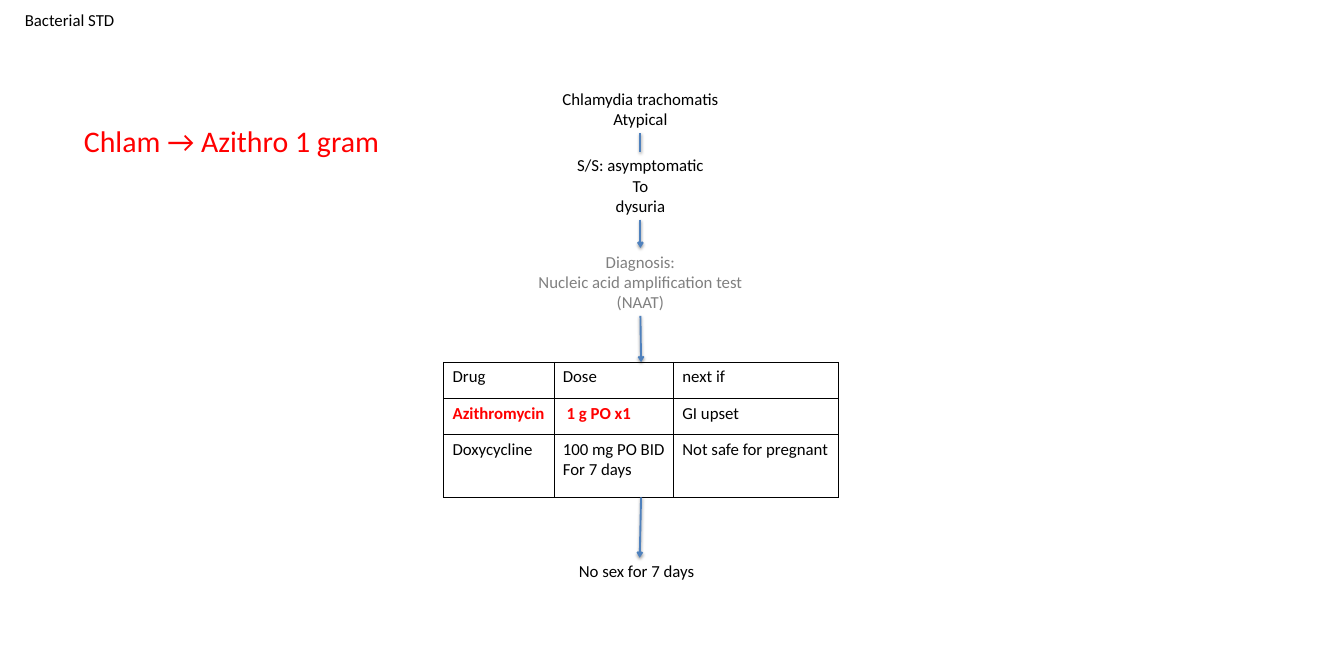
import pptx
import pptx.util
import pptx.dml.color
import pptx.enum.shapes
import pptx.enum.text
import pptx.oxml
import pptx.oxml.ns

Inches = pptx.util.Inches
Pt = pptx.util.Pt
RGBColor = pptx.dml.color.RGBColor
ALIGN = pptx.enum.text.PP_ALIGN

BLACK = RGBColor(0x00, 0x00, 0x00)
GRAY = RGBColor(0x80, 0x80, 0x80)
RED = RGBColor(0xFF, 0x00, 0x00)
BLUE = RGBColor(0x4F, 0x81, 0xBD)

DRUGS = [
    ["Drug", "Dose", "next if"],
    ["Azithromycin", " 1 g PO x1", "GI upset"],
    ["Doxycycline", "100 mg PO BID\nFor 7 days", "Not safe for pregnant"],
]
COLS = [1.64, 1.78, 2.45]
ROWS = [0.54, 0.54, 0.93]
FIRST = {(1, 0), (1, 1)}  # first-choice drug and its dose


def make_xml(body):
    """Parse one DrawingML element."""
    return pptx.oxml.parse_xml(body.replace(">", " " + pptx.oxml.ns.nsdecls("a") + ">", 1))


def write(frame, text, size=18, color=BLACK, bold=False, align=ALIGN.LEFT):
    """Fill a text frame, one paragraph for each line of text."""
    for i, line in enumerate(text.split("\n")):
        para = frame.paragraphs[0] if i == 0 else frame.add_paragraph()
        para.alignment = align
        run = para.add_run()
        run.text = line
        font = run.font
        font.name, font.size, font.bold = "Calibri", Pt(size), bold
        font.color.rgb = color


def add_note(slide, box, text, **style):
    """Add an unwrapped text box at left, top, width, height."""
    frame = slide.shapes.add_textbox(*map(Inches, box)).text_frame
    frame.word_wrap = False
    frame.auto_size = pptx.enum.text.MSO_AUTO_SIZE.SHAPE_TO_FIT_TEXT
    write(frame, text, **style)


def add_link(slide, start, end, arrow=True):
    """Join two points with a shadowed line."""
    link = slide.shapes.add_connector(
        pptx.enum.shapes.MSO_CONNECTOR.STRAIGHT, *map(Inches, start + end))
    link.line.color.rgb = BLUE
    link.line.width = Pt(2)
    props = link._element.spPr
    if arrow:
        props.find(pptx.oxml.ns.qn("a:ln")).append(
            make_xml('<a:tailEnd type="arrow"></a:tailEnd>'))
    props.append(make_xml(
        '<a:effectLst><a:outerShdw blurRad="40000" dist="20000" dir="5400000" rotWithShape="0">'
        '<a:srgbClr val="000000"><a:alpha val="38000"/></a:srgbClr>'
        '</a:outerShdw></a:effectLst>'))


def add_edges(cell):
    """Draw a thin black border on all four sides of a cell."""
    props = cell._tc.get_or_add_tcPr()
    for i, side in enumerate("LRTB"):
        props.insert(i, make_xml(
            f'<a:ln{side} w="12700"><a:solidFill><a:srgbClr val="{BLACK}"/>'
            f'</a:solidFill></a:ln{side}>'))


def add_drugs(slide, left, top):
    """Add the drug table and return its bottom edge."""
    box = map(Inches, (left, top, sum(COLS), sum(ROWS)))
    table = slide.shapes.add_table(len(ROWS), len(COLS), *box).table
    table.first_row = table.horz_banding = False
    for col, width in zip(table.columns, COLS):
        col.width = Inches(width)
    for r, height in enumerate(ROWS):
        table.rows[r].height = Inches(height)
        for c, text in enumerate(DRUGS[r]):
            cell = table.cell(r, c)
            cell.margin_left = cell.margin_right = Inches(0.13)
            cell.margin_top = cell.margin_bottom = Inches(0.07)
            cell.fill.background()
            add_edges(cell)
            best = (r, c) in FIRST
            write(cell.text_frame, text, color=RED if best else BLACK, bold=best)
    return top + sum(ROWS)


def add_flow(slide, left, top, width):
    """Stack the steps from germ to advice and link each to the next."""
    mid = left + width / 2

    def step(gap, wide, text, **style):
        """Place a centred step below the gap and return its edges."""
        head = top + gap
        tall = 0.11 + 0.3 * len(text.split("\n"))
        add_note(slide, (mid - wide / 2, head, wide, tall), text, **style)
        return head, head + tall

    mid_text = {"align": ALIGN.CENTER}
    germ = step(0, 2.56, "Chlamydia trachomatis\nAtypical", **mid_text)
    signs = step(0.99, 2.11, "S/S: asymptomatic\nTo\ndysuria", **mid_text)
    test = step(2.42, 3.27, "Diagnosis:\nNucleic acid amplification test\n(NAAT)",
                color=GRAY, **mid_text)
    grid = top + 4.12
    base = add_drugs(slide, mid - sum(COLS) / 2 + 0.01, grid)
    advice = step(7.03, 2.03, "No sex for 7 days")

    add_link(slide, (mid, germ[1]), (mid, signs[0]), arrow=False)
    add_link(slide, (mid, signs[1]), (mid, test[0]))
    add_link(slide, (mid, test[1]), (mid + 0.01, grid))
    add_link(slide, (mid + 0.01, base), (mid - 0.01, advice[0]))


def add_heads(slide, left, top):
    """Add the topic and the red key point."""
    add_note(slide, (left, top, 1.55, 0.4), "Bacterial STD")
    add_note(slide, (left + 0.88, top + 1.67, 4.69, 0.64),
             "Chlam → Azithro 1 gram", size=32, color=RED)


def main():
    """Build and save the slide."""
    deck = pptx.Presentation()
    deck.slide_width, deck.slide_height = Inches(20), Inches(10)
    slide = deck.slides.add_slide(deck.slide_layouts[6])
    add_heads(slide, 0.27, 0.1)
    add_flow(slide, 6.6, 1.27, 5.86)
    deck.save("out.pptx")


main()
